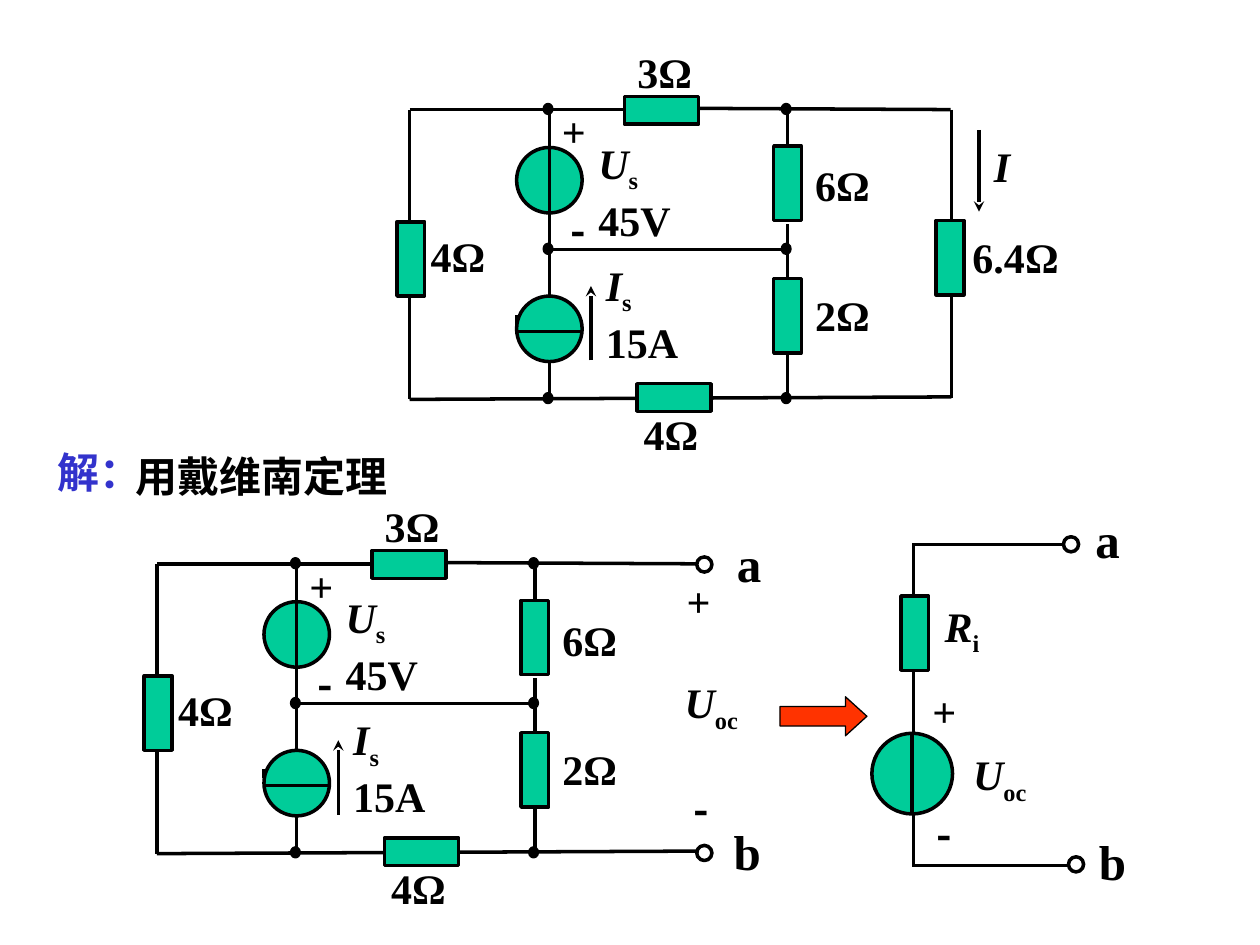
from lxml.etree import SubElement
from pptx import Presentation
from pptx.dml.color import RGBColor
from pptx.enum.shapes import MSO_CONNECTOR, MSO_SHAPE
from pptx.enum.text import MSO_ANCHOR, MSO_AUTO_SIZE, PP_ALIGN
from pptx.oxml.ns import qn
from pptx.util import Inches, Pt

COLS = 100
WIDTH, HEIGHT = Inches(10), Inches(7.5)
BLACK, GREEN, RED, BLUE = "000000", "00CC99", "FF3300", "3333CC"
SERIF, SANS = "Times New Roman", "Noto Sans CJK SC"


def grid(*cells):
    return [round(c * WIDTH / COLS) for c in cells]


def color(value):
    return RGBColor.from_string(value)


def shape(s, kind, x, y, w, h, fill=None, weight=2):
    sp = s.shapes.add_shape(kind, *grid(x, y, w, h))
    sp.shadow.inherit = False
    if fill:
        sp.fill.solid()
        sp.fill.fore_color.rgb = color(fill)
    else:
        sp.fill.background()
    sp.line.color.rgb = color(BLACK)
    sp.line.width = Pt(weight)
    return sp


def wire(s, x1, y1, x2, y2, arrow=False):
    sp = s.shapes.add_connector(MSO_CONNECTOR.STRAIGHT, *grid(x1, y1, x2, y2))
    sp.line.color.rgb = color(BLACK)
    sp.line.width = Pt(2)
    if arrow:
        SubElement(sp.line._get_or_add_ln(), qn("a:tailEnd"), type="stealth")
    SubElement(sp._element.spPr, qn("a:effectLst"))


def resistor(s, cx, cy, turned=False):
    sp = shape(s, MSO_SHAPE.RECTANGLE, cx - 1.1, cy - 2.95, 2.2, 5.9, GREEN)
    sp.rotation = 90 if turned else 0


def disc(s, cx, cy, w, h, fill=None):
    shape(s, MSO_SHAPE.OVAL, cx - w / 2, cy - h / 2, w, h, fill)


def terminal(s, cx, cy):
    disc(s, cx, cy, 1.2, 1.2)


def voltage_source(s, cx, cy, d):
    disc(s, cx, cy, d, d, GREEN)
    wire(s, cx, cy - d / 2, cx, cy + d / 2)


def label(s, x, y, w, h, lines, centred=False, **style):
    sp = s.shapes.add_textbox(*grid(x, y, w, h))
    tf = sp.text_frame
    frame = {
        "word_wrap": not centred,
        "auto_size": MSO_AUTO_SIZE.SHAPE_TO_FIT_TEXT,
        "vertical_anchor": MSO_ANCHOR.MIDDLE if centred else MSO_ANCHOR.TOP,
    }
    for name, value in frame.items():
        setattr(tf, name, value)
    for i, runs in enumerate(lines):
        p = tf.add_paragraph() if i else tf.paragraphs[0]
        p.alignment = PP_ALIGN.CENTER if centred else PP_ALIGN.LEFT
        for text, extra in runs:
            add_run(p, text, {**style, **extra})


def add_run(p, text, style):
    r = p.add_run()
    r.text = text
    look = {"size": 24, "name": SERIF, "bold": True, "italic": False, **style}
    sub = look.pop("sub", False)
    ink = look.pop("ink", BLACK)
    look["size"] = Pt(look["size"])
    for name, value in look.items():
        setattr(r.font, name, value)
    r.font.color.rgb = color(ink)
    rPr = r.font._element
    SubElement(rPr, qn("a:ea"), typeface=SANS)
    if sub:
        rPr.set("baseline", "-25000")


def plain(text):
    return [(text, {})]


def symbol(letter, sub):
    return [(letter, {"italic": True}), (sub, {"sub": True})]


def plus(s, x, y):
    label(s, x, y, 3.9, 5, [plain("+")], True)


def minus(s, x, y, w=3.7):
    label(s, x, y, w, 5, [plain("-")], True, name=SANS)


def point(s, x, y, w, text):
    label(s, x, y, w, 5.7, [plain(text)], True, size=28)


def bridge(s, ox, oy):
    wires = [
        (32.5, 8.7, 49.6, 8.7), (55.4, 8.6, 75.45, 8.7),
        (32.5, 8.7, 32.5, 17.6), (32.5, 23.5, 32.5, 31.7),
        (32.5, 31.7, 75.5, 31.5), (43.6, 8.7, 43.6, 31.6),
        (62.5, 8.7, 62.5, 11.6), (62.5, 17.8, 62.5, 22),
        (62.5, 28, 62.5, 31.6), (43.6, 19.8, 62.5, 19.8),
    ]
    for x1, y1, x2, y2 in wires:
        wire(s, ox + x1, oy + y1, ox + x2, oy + y2)

    voltage_source(s, ox + 43.6, oy + 14.3, 5.2)
    disc(s, ox + 43.6, oy + 26.1, 5.2, 5.2, GREEN)
    wire(s, ox + 41, oy + 26.3, ox + 46.2, oy + 26.3)
    wire(s, ox + 41, oy + 25.7, ox + 41, oy + 25)
    wire(s, ox + 46.9, oy + 28.6, ox + 46.9, oy + 22.7, True)

    for cx, cy, turned in [(32.6, 20.55, False), (52.5, 8.75, True),
                           (62.5, 14.55, False), (62.5, 25.05, False),
                           (53.5, 31.55, True)]:
        resistor(s, ox + cx, oy + cy, turned)
    for cx in (43.5, 62.4):
        for cy in (8.65, 19.75, 31.6):
            disc(s, ox + cx, oy + cy, 0.6, 0.7, BLACK)

    for x, y, w, text in [(49.6, 3.2, 7.5, "3Ω"), (33.2, 17.8, 7, "4Ω"),
                          (63.7, 12.2, 7.2, "6Ω"), (63.7, 22.5, 7.2, "2Ω"),
                          (50.1, 31.9, 7.2, "4Ω")]:
        label(s, ox + x, oy + y, w, 5, [plain(text)])
    label(s, ox + 46.5, oy + 10.4, 8.4, 9, [symbol("U", "s"), plain("45V")])
    label(s, ox + 47.1, oy + 20.1, 8.4, 9, [symbol("I", "s"), plain("15A")])
    plus(s, ox + 43.6, oy + 7.9)
    minus(s, ox + 44.3, oy + 15.7, 2.4)


def load_branch(s):
    wire(s, 75.5, 8.7, 75.5, 17.5)
    wire(s, 75.5, 23.4, 75.5, 31.6)
    resistor(s, 75.4, 20.45)
    wire(s, 77.7, 10.3, 77.7, 16.8, True)
    label(s, 76.2, 17.9, 9.4, 5, [plain("6.4Ω")])
    label(s, 77.9, 10.7, 3.8, 5, [[("I", {"italic": True})]])


def open_port(s):
    terminal(s, 55.9, 44.8)
    terminal(s, 55.9, 67.7)
    point(s, 57.5, 41.8, 3.8, "a")
    point(s, 57.2, 64.7, 4.2, "b")
    plus(s, 53.5, 45.2)
    minus(s, 53.8, 61.7)
    label(s, 53.2, 53.5, 6.5, 5, [symbol("U", "oc")], True)


def thevenin(s):
    for ends in [(72.5, 43.2, 72.5, 47.4), (72.5, 53.3, 72.5, 68.7),
                 (72.4, 43.2, 84.5, 43.2), (72.4, 68.7, 84.9, 68.7)]:
        wire(s, *ends)
    resistor(s, 72.6, 50.25)
    voltage_source(s, 72.4, 61.4, 6.4)
    terminal(s, 85, 43.2)
    terminal(s, 85.4, 68.6)
    point(s, 85.9, 39.9, 4, "a")
    point(s, 86.2, 65.5, 4.2, "b")
    label(s, 73.9, 47.4, 4.9, 5, [symbol("R", "i")], True)
    label(s, 76.1, 59.2, 6.5, 5, [symbol("U", "oc")], True)
    plus(s, 73, 53.9)
    minus(s, 73.1, 63.7)


def main():
    prs = Presentation()
    prs.slide_width, prs.slide_height = WIDTH, HEIGHT
    s = prs.slides.add_slide(prs.slide_layouts[6])
    bridge(s, 0, 0)
    load_branch(s)
    label(s, 3.5, 34.9, 8.8, 5, [plain("解：")], True, ink=BLUE)
    label(s, 9.8, 35.3, 26.3, 5, [plain("用戴维南定理")])
    bridge(s, -20.05, 36.05)
    open_port(s)
    arrow = shape(s, MSO_SHAPE.RIGHT_ARROW, 61.9, 55.3, 6.9, 3.1, RED, 0.75)
    arrow.adjustments[1] = 0.55
    thevenin(s)
    prs.save("out.pptx")


if __name__ == "__main__":
    main()
